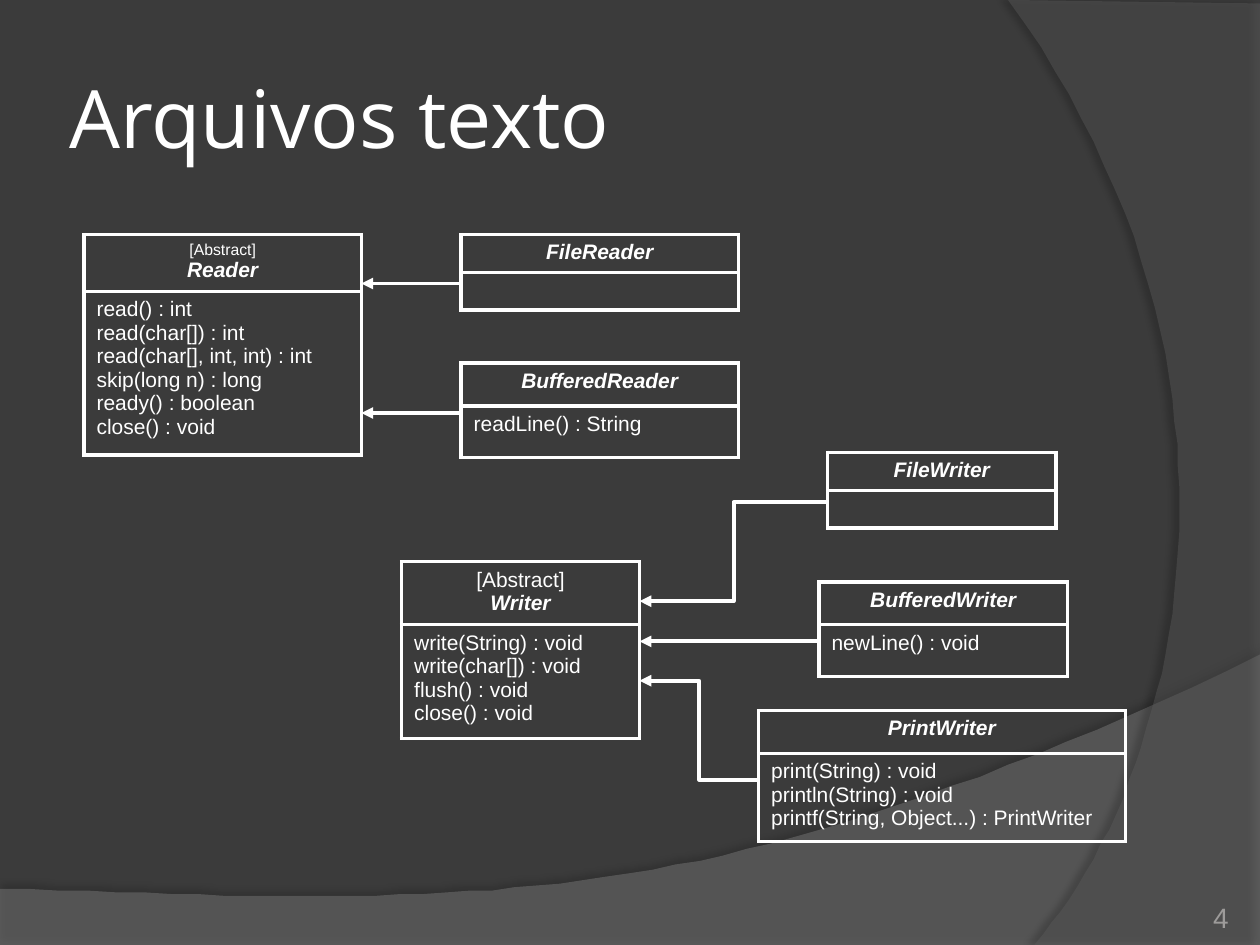
from dataclasses import dataclass

from lxml import etree
from pptx import Presentation
from pptx.dml.color import RGBColor
from pptx.enum.shapes import MSO_CONNECTOR
from pptx.enum.text import MSO_ANCHOR, PP_ALIGN
from pptx.oxml import parse_xml
from pptx.oxml.ns import nsdecls, qn
from pptx.util import Pt

STRAIGHT, ELBOW = MSO_CONNECTOR.STRAIGHT, MSO_CONNECTOR.ELBOW
LEFT, CENTER, RIGHT = PP_ALIGN.LEFT, PP_ALIGN.CENTER, PP_ALIGN.RIGHT
MIDDLE, BOTTOM = MSO_ANCHOR.MIDDLE, MSO_ANCHOR.BOTTOM


@dataclass(frozen=True)
class Theme:
    background: str = "3B3B3B"
    ink: str = "FFFFFF"
    muted: str = "9D9B9A"
    title_font: str = "Open Sans"
    body_font: str = "Arial"
    title_size: float = 46
    number_size: float = 16
    body_size: float = 12
    small_size: float = 9
    line: float = 2.25


T = Theme()

# Content
TITLE = "Arquivos texto"
NUMBER = "4"

# name: (left, top, width), minimum row heights, size of the [Abstract] tag, methods
CLASSES = {
    "Reader": ((48, 134, 158.5), (24.5, 29.5), T.small_size,
               ["read() : int", "read(char[]) : int", "read(char[], int, int) : int",
                "skip(long n) : long", "ready() : boolean", "close() : void"]),
    "BufferedReader": ((263.5, 207.5, 158.5), (24.5, 29.5), None, ["readLine() : String"]),
    "PrintWriter": ((433.5, 406, 209.5), (24.5, 29.5), None,
                    ["print(String) : void", "println(String) : void",
                     "printf(String, Object...) : PrintWriter"]),
    "BufferedWriter": ((468, 332.5, 142), (24.5, 29.5), None, ["newLine() : void"]),
    "FileWriter": ((473, 258.5, 130.5), (20.5, 20.5), None, []),
    "FileReader": ((263.5, 134, 158.5), (20.5, 20.5), None, []),
    "Writer": ((229.5, 321, 136), (24.5, 29.5), T.body_size,
               ["write(String) : void", "write(char[]) : void", "flush() : void",
                "close() : void"]),
}

# child, parent, y at child, y at parent
INHERITANCE = [
    ("FileReader", "Reader", 162, 162),
    ("BufferedReader", "Reader", 236, 236),
    ("BufferedWriter", "Writer", 366.5, 366.5),
    ("FileWriter", "Writer", 287, 343.5),
    ("PrintWriter", "Writer", 445.5, 389),
]

# straight corners, curve (start, two controls, end), fill, opacity %, shadow (opacity %, distance, degrees)
WAVES = [
    ([(0, 540), (720, 540)], [(720, 374.5), (402.5, 525), (281.5, 517.5), (0, 507.5)],
     "7F7F7F", 45, (35, 3.5, 270)),
    ([(720, 1.5), (720, 540)], [(591, 540), (673, 445.5), (733, 216), (576, 0)],
     "5E5E5E", 40, (45, 4, 180)),
]


def rgb(color):
    return RGBColor.from_string(color)


def style(run, size, color=T.ink, font=T.body_font, strong=False):
    f = run.font
    f.size, f.name, f.bold, f.italic = Pt(size), font, strong, strong
    f.color.rgb = rgb(color)


def bezier(points, steps=48):
    for i in range(steps + 1):
        t = i / steps
        weights = ((1 - t) ** 3, 3 * t * (1 - t) ** 2, 3 * t * t * (1 - t), t ** 3)
        yield tuple(sum(w * p[axis] for w, p in zip(weights, points)) for axis in (0, 1))


def add_wave(slide, corners, curve, color, opacity, shadow):
    points = corners + list(bezier(curve))
    builder = slide.shapes.build_freeform(*points[0], scale=Pt(1))
    builder.add_line_segments(points[1:], close=True)
    sp = builder.convert_to_shape()
    sp.fill.solid()
    sp.fill.fore_color.rgb = rgb(color)
    sp.line.fill.background()
    srgb = sp.fill._xPr.find(".//" + qn("a:srgbClr"))
    etree.SubElement(srgb, qn("a:alpha"), val=str(opacity * 1000))
    alpha, distance, angle = shadow
    sp._element.spPr.append(parse_xml(
        f'<a:effectLst {nsdecls("a")}><a:outerShdw blurRad="{Pt(4)}" dist="{Pt(distance)}" '
        f'dir="{angle * 60000}" algn="ctr" rotWithShape="0"><a:srgbClr val="000000">'
        f'<a:alpha val="{alpha * 1000}"/></a:srgbClr></a:outerShdw></a:effectLst>'))


def add_text(slide, text, box, inset, anchor, align, **look):
    tf = slide.shapes.add_textbox(*map(Pt, box)).text_frame
    tf.word_wrap = True
    tf.vertical_anchor = anchor
    tf.margin_left = tf.margin_right = tf.margin_top = tf.margin_bottom = Pt(inset)
    p = tf.paragraphs[0]
    p.text, p.alignment = text, align
    style(p.runs[0], **look)


def row_height(minimum, lines):
    return max(minimum, sum(1.12 * size for _, size, _ in lines) + 7.2)


def fill_cell(cell, lines, align):
    tf = cell.text_frame
    tf.text = "\n".join(text for text, _, _ in lines)
    for p, (_, size, strong) in zip(tf.paragraphs, lines):
        p.alignment = align
        style(p.runs[0], size, strong=strong)
    if not lines:
        etree.SubElement(tf.paragraphs[0]._p, qn("a:endParaRPr"), sz=str(T.body_size * 100))
    tcPr = cell._tc.get_or_add_tcPr()
    for side in "LRTB":
        tcPr.append(parse_xml(
            f'<a:ln{side} {nsdecls("a")} w="{Pt(T.line)}"><a:solidFill>'
            f'<a:srgbClr val="{T.ink}"/></a:solidFill></a:ln{side}>'))
    cell.fill.background()


def add_class(slide, name, place, minimums, tag_size, methods):
    head = [("[Abstract]", tag_size, False)] if tag_size else []
    head.append((name, T.body_size, True))
    rows = (head, [(m, T.body_size, False) for m in methods])
    heights = [row_height(low, lines) for low, lines in zip(minimums, rows)]
    table = slide.shapes.add_table(2, 1, *map(Pt, place), Pt(sum(heights))).table
    table.first_row = table.horz_banding = False
    for i, (lines, align) in enumerate(zip(rows, (CENTER, LEFT))):
        table.rows[i].height = Pt(heights[i])
        fill_cell(table.cell(i, 0), lines, align)


def add_arrow(slide, child, parent, y1, y2):
    x1 = CLASSES[child][0][0]
    left, _, width = CLASSES[parent][0]
    kind = STRAIGHT if y1 == y2 else ELBOW
    line = slide.shapes.add_connector(kind, *map(Pt, (x1, y1, left + width, y2)))
    line.line.width = Pt(T.line)
    line.line.color.rgb = rgb(T.ink)
    etree.SubElement(line.line._get_or_add_ln(), qn("a:tailEnd"), type="triangle")
    etree.SubElement(line._element.spPr, qn("a:effectLst"))


prs = Presentation()
prs.slide_width, prs.slide_height = Pt(720), Pt(540)
s = prs.slides.add_slide(prs.slide_layouts[6])

# Background
s.background.fill.solid()
s.background.fill.fore_color.rgb = rgb(T.background)
for wave in WAVES:
    add_wave(s, *wave)

# Title and slide number
add_text(s, TITLE, (36, 21.5, 588, 90), 3.6, MIDDLE, LEFT,
         size=T.title_size, font=T.title_font)
add_text(s, NUMBER, (642, 505.5, 60, 28.5), 0, BOTTOM, RIGHT,
         size=T.number_size, color=T.muted)

# Class diagram
for name, details in CLASSES.items():
    add_class(s, name, *details)
for link in INHERITANCE:
    add_arrow(s, *link)

prs.save("out.pptx")
